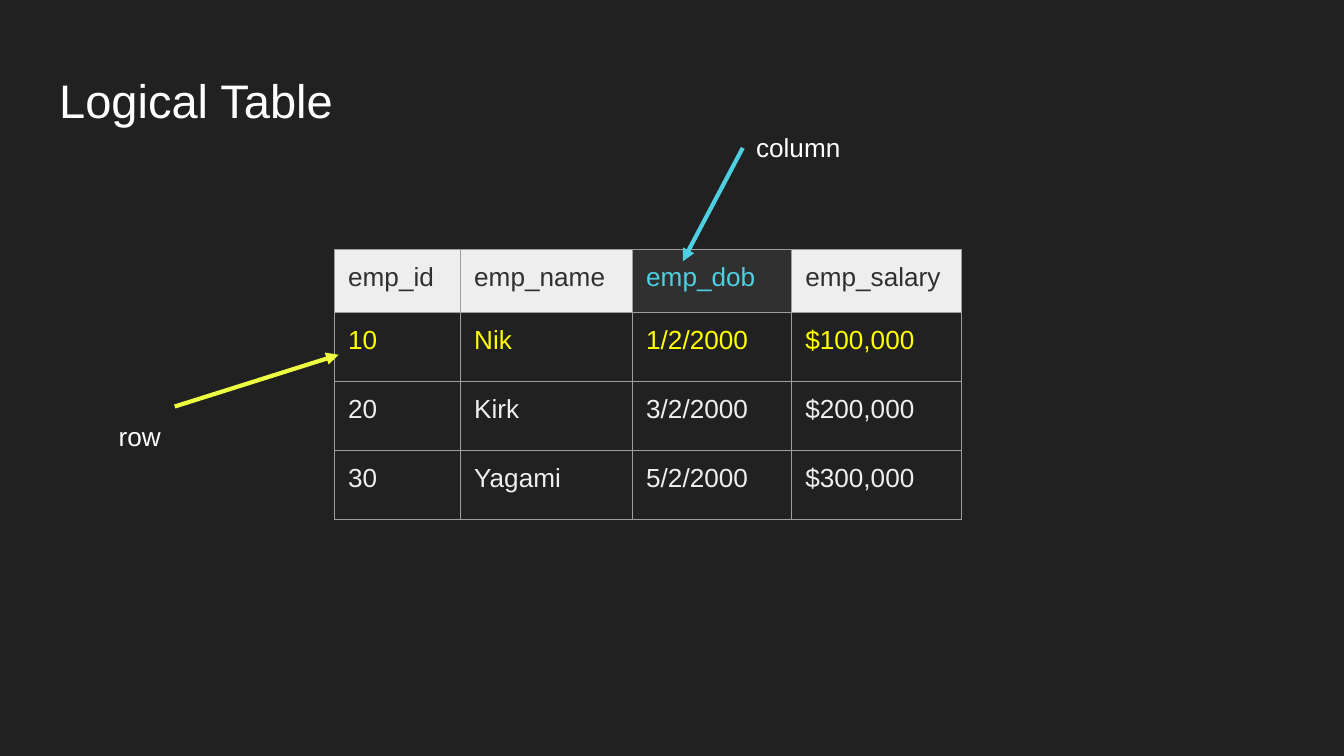
from lxml import etree
from pptx import Presentation
from pptx.dml.color import RGBColor
from pptx.enum.shapes import MSO_CONNECTOR
from pptx.enum.text import MSO_ANCHOR as Anchor, MSO_AUTO_SIZE as AutoSize, PP_ALIGN as Align
from pptx.oxml import parse_xml
from pptx.oxml.ns import nsdecls, qn
from pptx.util import Inches, Pt

BACKGROUND = RGBColor(0x21, 0x21, 0x21)
WHITE = RGBColor(0xFF, 0xFF, 0xFF)
LIGHT = RGBColor(0xEE, 0xEE, 0xEE)
DARK = RGBColor(0x30, 0x30, 0x30)
BORDER = RGBColor(0x9E, 0x9E, 0x9E)
CYAN = RGBColor(0x4D, 0xD0, 0xE1)
YELLOW = RGBColor(0xFF, 0xFF, 0x00)
LIME = RGBColor(0xEE, 0xFF, 0x41)

FONT = "Arial"
GRID = Inches(0.1)  # the slide is 100 columns by 56.25 rows
INSET = GRID

ROWS = [
    ["emp_id", "emp_name", "emp_dob", "emp_salary"],
    ["10", "Nik", "1/2/2000", "$100,000"],
    ["20", "Kirk", "3/2/2000", "$200,000"],
    ["30", "Yagami", "5/2/2000", "$300,000"],
]
COLUMN_WIDTHS = [9.38, 12.8, 11.84, 12.65]
ROW_HEIGHTS = [4.68, 5.13, 5.13, 5.13]
MARKED_ROW, MARKED_COLUMN = 1, 2


def grid(*steps):
    """Turn grid columns or rows into lengths."""
    return [round(step * GRID) for step in steps]


def apply(target, formats):
    for name, value in formats.items():
        setattr(target, name, value)


def set_insets(target):
    apply(target, {f"margin_{side}": INSET for side in ("left", "top", "right", "bottom")})


def write(tf, text, color, size=14):
    p = tf.paragraphs[0]
    p.alignment = Align.LEFT
    r = p.add_run()
    r.text = text
    apply(r.font, {"name": FONT, "size": Pt(size)})
    r.font.color.rgb = color


def add_title(slide, text):
    title = slide.shapes.title
    apply(title, dict(zip(("left", "top", "width", "height"), grid(3.4, 4.3, 93.2, 6.26))))
    tf = title.text_frame
    apply(tf, {"word_wrap": True, "auto_size": AutoSize.NONE, "vertical_anchor": Anchor.BOTTOM})
    set_insets(tf)
    write(tf, text, WHITE, 25.2)


def add_label(slide, text, left, top):
    box = slide.shapes.add_textbox(*grid(left, top, 10.3, 4.4))
    tf = box.text_frame
    apply(tf, {"word_wrap": True, "auto_size": AutoSize.SHAPE_TO_FIT_TEXT})
    set_insets(tf)
    write(tf, text, WHITE)
    return box


def add_arrow(slide, label, side, end, color):
    """Draw an arrow from the middle of a label's side to a grid point."""
    arrow = slide.shapes.add_connector(MSO_CONNECTOR.STRAIGHT, label.left, label.top, *grid(*end))
    arrow.begin_connect(label, side)
    arrow.line.color.rgb = color
    arrow.line.width = Pt(2.25)
    etree.SubElement(arrow.line._get_or_add_ln(), qn("a:tailEnd"), type="triangle")
    etree.SubElement(arrow._element.spPr, qn("a:effectLst"))


def add_borders(cell):
    tc_pr = cell._tc.get_or_add_tcPr()
    for edge in ("lnL", "lnR", "lnT", "lnB"):
        tc_pr.append(parse_xml(
            f'<a:{edge} {nsdecls("a")} w="{Pt(0.75)}"><a:solidFill>'
            f'<a:srgbClr val="{BORDER}"/></a:solidFill></a:{edge}>'))


def cell_colors(row, column):
    """Return the text colour and the fill, None meaning no fill."""
    if row == 0:
        return (CYAN, DARK) if column == MARKED_COLUMN else (DARK, LIGHT)
    return (YELLOW if row == MARKED_ROW else LIGHT), None


def add_employee_table(slide):
    place = grid(24.9, 18.56, sum(COLUMN_WIDTHS), sum(ROW_HEIGHTS))
    table = slide.shapes.add_table(len(ROWS), len(COLUMN_WIDTHS), *place).table
    apply(table, {"first_row": False, "horz_banding": False})
    for column, width in zip(table.columns, grid(*COLUMN_WIDTHS)):
        column.width = width
    for row, height in zip(table.rows, grid(*ROW_HEIGHTS)):
        row.height = height
    for i, values in enumerate(ROWS):
        for j, value in enumerate(values):
            cell = table.cell(i, j)
            color, fill = cell_colors(i, j)
            set_insets(cell)
            write(cell.text_frame, value, color)
            add_borders(cell)
            if fill is None:
                cell.fill.background()
            else:
                cell.fill.solid()
                cell.fill.fore_color.rgb = fill


def main():
    prs = Presentation()
    apply(prs, dict(zip(("slide_width", "slide_height"), grid(100, 56.25))))
    slide = prs.slides.add_slide(prs.slide_layouts.get_by_name("Title Only"))
    slide.background.fill.solid()
    slide.background.fill.fore_color.rgb = BACKGROUND

    add_title(slide, "Logical Table")
    add_employee_table(slide)
    column_label = add_label(slide, "column", 55.27, 8.8)
    add_arrow(slide, column_label, 1, (50.8, 19.45), CYAN)
    row_label = add_label(slide, "row", 7.85, 30.25)
    add_arrow(slide, row_label, 0, (25.2, 26.4), LIME)
    prs.save("out.pptx")


if __name__ == "__main__":
    main()
